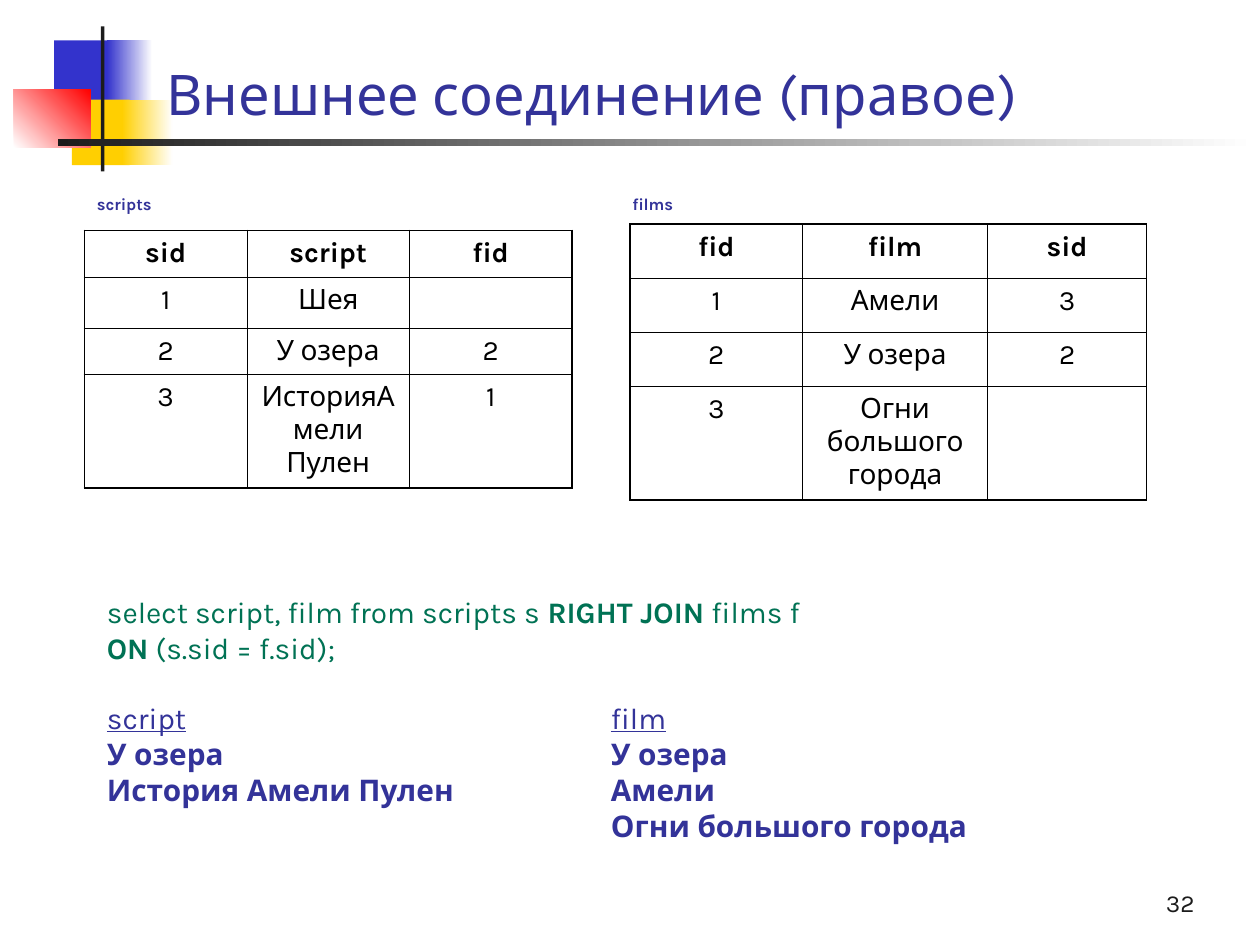
from pptx import Presentation
from pptx.dml.color import RGBColor
from pptx.enum.shapes import MSO_SHAPE as Shape
from pptx.enum.text import MSO_ANCHOR as Anchor, PP_ALIGN as Align
from pptx.oxml.ns import qn
from pptx.util import Inches, Pt
from lxml.etree import SubElement

HUES = {"blue": "3333CC", "gold": "FFCF01", "red": "FF0000", "dark": "1C1C1C",
        "white": "FFFFFF", "ink": "333399", "green": "007254", "black": "000000"}


def rgb(name):
    return RGBColor.from_string(HUES[name])


def write(frame, lines, size=16, hue="black", bold=False, align=Align.LEFT,
          before=0, tab=None):
    """Fill a frame; a line is a string or a list of (text, bold, underline) runs,
    and hue may be a list with one name per line."""
    hues = hue if isinstance(hue, list) else [hue] * len(lines)
    frame.word_wrap = True
    for i, line in enumerate(lines):
        par = frame.paragraphs[0] if i == 0 else frame.add_paragraph()
        par.alignment = align
        if tab:
            stops = SubElement(par._p.get_or_add_pPr(), qn("a:tabLst"))
            SubElement(stops, qn("a:tab"), pos=str(Inches(tab)), algn="l")
        # Space above the first line of each new colour group
        if i and hues[i] != hues[i - 1]:
            par.space_before = Pt(before)
        for text, strong, under in [(line, bold, False)] if isinstance(line, str) else line:
            run = par.add_run()
            run.text = text
            font = run.font
            font.name, font.size = "Karla", Pt(size)
            font.bold, font.underline = strong, under
            font.color.rgb = rgb(hues[i])


deck = Presentation()
deck.slide_width, deck.slide_height = Inches(10), Inches(7.5)
slide = deck.slides.add_slide(deck.slide_layouts[5])

# Corner ornament and rule: left, top, width, height, colours, angle
blocks = [
    (0.43, 0.32, 0.48, 0.52, ["blue"], 0),
    (0.85, 0.32, 0.36, 0.52, ["blue", "white"], 0),
    (0.57, 0.79, 0.46, 0.52, ["gold"], 0),
    (0.97, 0.79, 0.4, 0.52, ["gold", "white"], 0),
    (0.11, 0.71, 0.61, 0.46, ["white", "red"], 45),
    (0.8, 0.21, 0.03, 1.15, ["dark"], 0),
    (0.46, 1.1, 9.51, 0.06, ["dark", "white"], 0),
]
for *box, hues, angle in blocks:
    block = slide.shapes.add_shape(Shape.RECTANGLE, *map(Inches, box))
    block.shadow.inherit = False
    block.line.fill.background()
    if len(hues) == 1:
        block.fill.solid()
        block.fill.fore_color.rgb = rgb(hues[0])
    else:
        block.fill.gradient()
        block.fill.gradient_angle = angle
        for stop, hue in zip(block.fill.gradient_stops, hues):
            stop.color.rgb = rgb(hue)

# Title, moved in front of the ornament
title = slide.shapes.title
title.left, title.top, title.width, title.height = map(Inches, (1.22, 0.13, 8.5, 0.93))
title.text_frame.vertical_anchor = Anchor.BOTTOM
write(title.text_frame, ["Внешнее соединение (правое)"], size=32, hue="ink")
slide.shapes._spTree.append(title._element)

# Tables: left, top, column widths, row heights, cells
grids = [
    (5, 1.78, [1.37, 1.47, 1.26], [0.43] * 3 + [0.9],
     [["fid", "film", "sid"], ["1", "Амели", "3"],
      ["2", "У озера", "2"], ["3", "Огни большого города", ""]]),
    (0.67, 1.83, [1.29] * 3, [0.37] * 3 + [0.9],
     [["sid", "script", "fid"], ["1", "Шея", ""],
      ["2", "У озера", "2"], ["3", "ИсторияАмели Пулен", "1"]]),
]
for left, top, cols, rows, data in grids:
    box = map(Inches, (left, top, sum(cols), sum(rows)))
    table = slide.shapes.add_table(len(rows), len(cols), *box).table
    table.first_row = table.horz_banding = False
    for col, width in zip(table.columns, cols):
        col.width = Inches(width)
    for r, height in enumerate(rows):
        table.rows[r].height = Inches(height)
        for c, text in enumerate(data[r]):
            cell = table.cell(r, c)
            edges = {"L": c == 0, "R": c == len(cols) - 1,
                     "T": r == 0, "B": r == len(rows) - 1}
            for side, outer in edges.items():
                line = SubElement(cell._tc.get_or_add_tcPr(), qn("a:ln" + side),
                                  w=str(Pt(1.08 if outer else 0.45)))
                paint = SubElement(line, qn("a:solidFill"))
                SubElement(paint, qn("a:srgbClr"), val=HUES["black"])
            cell.fill.background()
            if text:
                write(cell.text_frame, [text], bold=r == 0, align=Align.CENTER)
                cell.text_frame.paragraphs[0].line_spacing = 1.0

# Captions, query with its result, and page number
query = [
    [("select script, film from scripts s ", False, False),
     ("RIGHT JOIN", True, False), (" films f", False, False)],
    [("ON", True, False), (" (s.sid = f.sid);", False, False)],
    [("script", False, True), ("\t", False, False), ("film", False, True)],
    [("У озера\tУ озера", True, False)],
    [("История Амели Пулен\tАмели", True, False)],
    [("\tОгни большого города", True, False)],
]
notes = [
    ((0.67, 1.31, 1.34, 0.44), ["scripts"], dict(size=9.5, hue="ink", bold=True)),
    ((4.92, 1.31, 1.34, 0.44), ["films"], dict(size=9.5, hue="ink", bold=True)),
    ((0.75, 4.22, 8.35, 2.52), query,
     dict(size=17, hue=["green"] * 2 + ["ink"] * 4, before=20, tab=4)),
    ((7.5, 6.83, 2.08, 0.5), ["32"], dict(size=14, hue="dark", align=Align.RIGHT)),
]
for box, lines, style in notes:
    frame = slide.shapes.add_textbox(*map(Inches, box)).text_frame
    frame.vertical_anchor = Anchor.BOTTOM
    write(frame, lines, **style)

deck.save("out.pptx")
